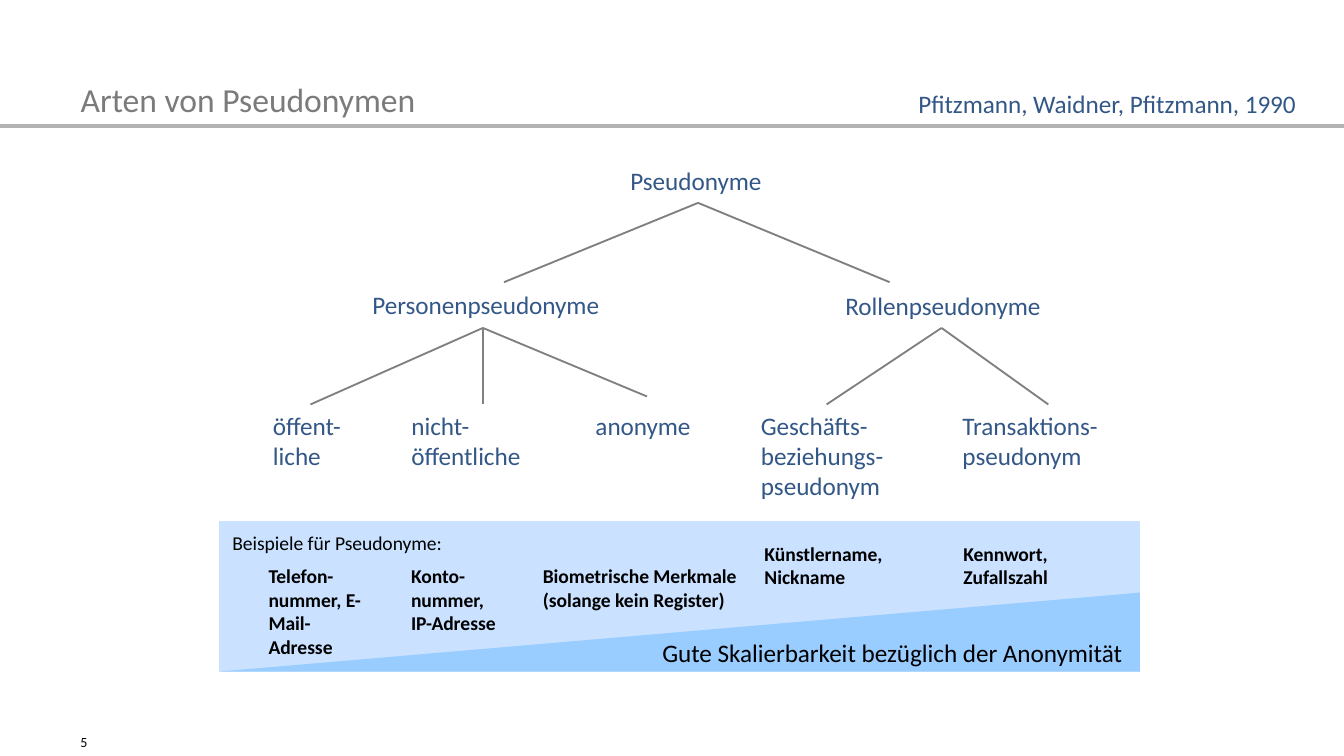
from lxml import etree
from pptx import Presentation
from pptx.dml.color import RGBColor
from pptx.enum.shapes import MSO_CONNECTOR, MSO_SHAPE
from pptx.enum.text import MSO_ANCHOR, MSO_AUTO_SIZE, PP_ALIGN
from pptx.oxml.ns import qn
from pptx.util import Pt

BLUE, GREY, BLACK = "335787", "7B7B7B", "000000"
TITLE = "Arten von Pseudonymen"
AUTHORS = "Pfitzmann, Waidner, Pfitzmann, 1990"
SCALING = "Gute Skalierbarkeit bezüglich der Anonymität"
EXAMPLES_HEADING = "Beispiele für Pseudonyme:"

BRANCHES = [
    ("Pseudonyme", 328.3, 84.2, 90),
    ("Personenpseudonyme", 190.1, 150.5, 142.6),
    ("Rollenpseudonyme", 443.5, 151.2, 125.3),
]
LEAF_TOP = 215.3
LEAVES = [
    ("öffent-\nliche", 136.8, 56.2),
    ("nicht-\nöffentliche", 211, 78.5),
    ("anonyme", 309.6, 70.6),
    ("Geschäfts-\nbeziehungs-\npseudonym", 398.2, 85.7),
    ("Transaktions-\npseudonym", 506.2, 92.2),
]
FORKS = [
    ((374, 108.7), "7F7F7F", [(476.6, 151.2), (270, 151.2)]),
    ((258.7, 175.7), "808080", [(166.3, 216.7), (258.7, 216.7), (346.6, 212.4)]),
    ((504.4, 175.7), "808080", [(442.8, 216.7), (561.6, 216.7)]),
]
PANEL = (117.4, 279.2, 493.2, 80.6)
WEDGE_TOP = 317.5
EXAMPLES = [
    ("Telefon-nummer, E-Mail-Adresse", 136.8, 298.8, 69.1, 58.3, True),
    ("Konto-\nnummer,\nIP-Adresse", 213.1, 298.8, 61.2, 45.4, False),
    ("Biometrische Merkmale\n(solange kein Register)", 283.7, 298.8, 123.1, 32.4, True),
    ("Künstlername, Nickname", 402.5, 286.6, 81.4, 32.4, True),
    ("Kennwort, Zufallszahl", 509, 286.6, 67.7, 32.4, True),
]


def rgb(color):
    return RGBColor.from_string(color)


def write(box, text, size=13.5, color=BLUE, bold=False, wrap=True,
          align=PP_ALIGN.LEFT, anchor=MSO_ANCHOR.TOP, inset=(7.2, 3.6)):
    frame = box.text_frame
    frame.auto_size = MSO_AUTO_SIZE.NONE
    frame.word_wrap = wrap
    frame.vertical_anchor = anchor
    frame.margin_left = frame.margin_right = Pt(inset[0])
    frame.margin_top = frame.margin_bottom = Pt(inset[1])
    frame.text = text
    for paragraph in frame.paragraphs:
        paragraph.alignment = align
        paragraph.line_spacing = 1.0
        paragraph.space_before = Pt(0)
        font = paragraph.runs[0].font
        font.name, font.size, font.bold = "Calibri", Pt(size), bold
        font.color.rgb = rgb(color)


def label(shapes, text, place, **form):
    write(shapes.add_textbox(*map(Pt, place)), text, **form)


def connect(start, end, color, width):
    line = slide.shapes.add_connector(
        MSO_CONNECTOR.STRAIGHT, *map(Pt, (*start, *end)))
    line.line.color.rgb = rgb(color)
    line.line.width = Pt(width)
    etree.SubElement(line._element.spPr, qn("a:effectLst"))


def paint(area, color):
    area.shadow.inherit = False
    area.fill.solid()
    area.fill.fore_color.rgb = rgb(color)
    area.line.fill.background()


deck = Presentation()
deck.slide_width, deck.slide_height = Pt(720), Pt(405)
slide = deck.slides.add_slide(deck.slide_layouts[5])
shapes = slide.shapes

title = shapes.title
title.left, title.top, title.width, title.height = map(Pt, (36, 7.2, 666, 60.5))
write(title, TITLE, size=18, color=GREY, anchor=MSO_ANCHOR.BOTTOM)
label(shapes, AUTHORS, (172.8, 44.6, 528.5, 22.3),
      align=PP_ALIGN.RIGHT, anchor=MSO_ANCHOR.BOTTOM)
connect((0, 67.5), (720, 67.5), "B3B3B3", 2)
label(shapes, "5", (36, 388.8, 84.2, 16.6), size=7.5, color=BLACK,
      anchor=MSO_ANCHOR.BOTTOM)

for text, left, top, width in BRANCHES:
    label(shapes, text, (left, top, width, 26), wrap=False, inset=(9.4, 4.5))
for text, left, width in LEAVES:
    height = 25.5 + 16.5 * len(text.split("\n"))
    label(shapes, text, (left, LEAF_TOP, width, height), wrap=False, inset=(9.4, 4.5))
for apex, color, ends in FORKS:
    for end in ends:
        connect(apex, end, color, 1)

examples = shapes.add_group_shape().shapes
paint(examples.add_shape(MSO_SHAPE.RECTANGLE, *map(Pt, PANEL)), "CAE2FF")
for text, *place, wrap in EXAMPLES:
    label(examples, text, place, size=10.5, color=BLACK, bold=True, wrap=wrap)
label(examples, EXAMPLES_HEADING, (117.4, 280.1, 128.9, 20.2), size=10.5,
      color=BLACK, wrap=False, anchor=MSO_ANCHOR.BOTTOM)

left, top, width, height = PANEL
right, bottom = left + width, top + height
wedge = shapes.build_freeform(Pt(left), Pt(bottom))
wedge.add_line_segments([(Pt(right), Pt(WEDGE_TOP)), (Pt(right), Pt(bottom))])
paint(wedge.convert_to_shape(), "99CCFF")
label(shapes, SCALING, (210.2, 338.4, 396, 21.6), color=BLACK,
      align=PP_ALIGN.RIGHT, inset=(5, 2.9))

deck.save("out.pptx")
